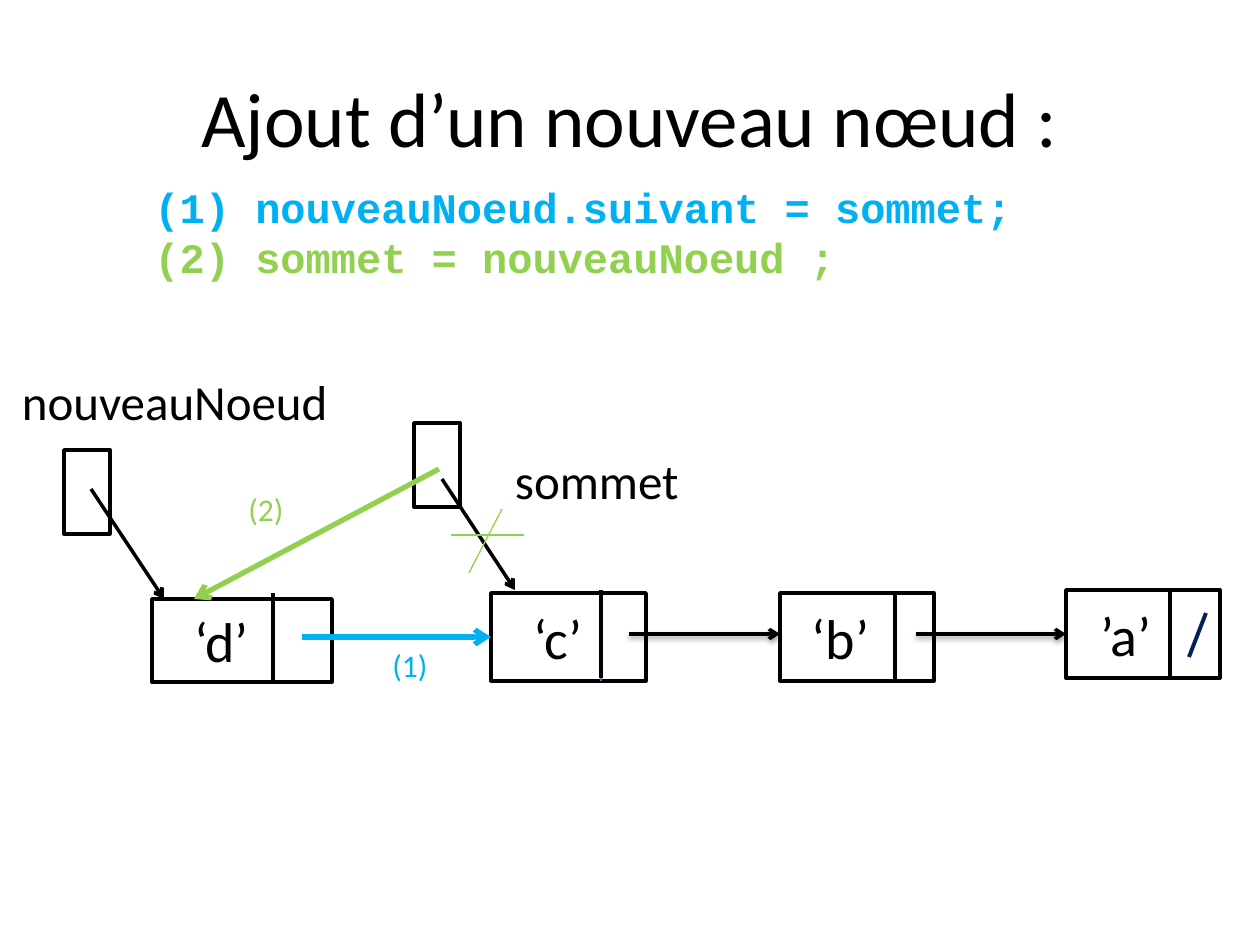
from lxml import etree
from pptx import Presentation
from pptx.dml.color import RGBColor
from pptx.enum.shapes import MSO_CONNECTOR, MSO_SHAPE
from pptx.enum.text import MSO_ANCHOR, MSO_AUTO_SIZE, PP_ALIGN
from pptx.oxml.ns import qn
from pptx.util import Emu, Pt

RECT, LINE = MSO_SHAPE.RECTANGLE, MSO_CONNECTOR.STRAIGHT
TOP, MID = MSO_ANCHOR.TOP, MSO_ANCHOR.MIDDLE
LEFT, MIDST = PP_ALIGN.LEFT, PP_ALIGN.CENTER
GROW = MSO_AUTO_SIZE.SHAPE_TO_FIT_TEXT
SCALE = 914400 / 126
BODY, CODE = "Calibri", "Courier New"
COLORS = {"black": "000000", "white": "FFFFFF", "blue": "00B0F0",
          "green": "92D050", "navy": "002060", "steel": "4B7EBC"}


def px(n):
    """Turn pixels into EMU."""
    return Emu(round(n * SCALE))


def hue(name):
    """Look up a colour by name."""
    return RGBColor.from_string(COLORS[name])


class Board:
    """Hold the style and the current slide."""

    def __init__(self, slide):
        """Keep the slide's shapes."""
        self.slide = slide
        self.shapes = slide.shapes

    def put(self, para, text, size, color="black", font=BODY, bold=False):
        """Add one run to a paragraph."""
        run = para.add_run()
        run.text = text
        run.font.size, run.font.name, run.font.bold = Pt(size), font, bold
        run.font.color.rgb = hue(color)

    def title(self, text, x, y, w, h):
        """Place and fill the title."""
        shape = self.shapes.title
        shape.left, shape.top, shape.width, shape.height = map(px, (x, y, w, h))
        frame = shape.text_frame
        frame.vertical_anchor = MID
        frame.paragraphs[0].alignment = MIDST
        self.put(frame.paragraphs[0], text, 44)

    def box(self, x, y, w, h, text="", size=32, inset=13, edge=2, anchor=MID):
        """Draw a white box with optional text."""
        shape = self.shapes.add_shape(RECT, px(x), px(y), px(w), px(h))
        shape.shadow.inherit = False
        shape.fill.solid()
        shape.fill.fore_color.rgb = hue("white")
        if edge:
            shape.line.color.rgb = hue("black")
            shape.line.width = Pt(edge)
        else:
            shape.line.fill.background()
        if text:
            frame = shape.text_frame
            frame.margin_left = px(inset)
            frame.vertical_anchor = anchor
            frame.paragraphs[0].alignment = LEFT
            self.put(frame.paragraphs[0], text, size)

    def label(self, text, x, y, w, h):
        """Draw the white box that names a pointer."""
        self.box(x, y, w, h, text, 28, 22, 0, TOP)

    def note(self, x, y, w, h, lines, size, font=BODY, bold=False, wrap=True):
        """Add a text box of coloured lines."""
        frame = self.shapes.add_textbox(px(x), px(y), px(w), px(h)).text_frame
        frame.word_wrap = wrap
        frame.auto_size = GROW
        for i, (text, color) in enumerate(lines):
            para = frame.add_paragraph() if i else frame.paragraphs[0]
            self.put(para, text, size, color, font, bold)

    def line(self, x1, y1, x2, y2, color="black", width=2.0, arrow=False,
             shade=False):
        """Draw a line, with an arrowhead or a soft shadow if asked."""
        link = self.shapes.add_connector(LINE, px(x1), px(y1), px(x2), px(y2))
        link.line.color.rgb = hue(color)
        link.line.width = Pt(width)
        props = link._element.spPr
        if arrow:
            etree.SubElement(props.find(qn("a:ln")), qn("a:tailEnd"),
                             type="arrow")
        effect = etree.SubElement(props, qn("a:effectLst"))
        if shade:
            cast = etree.SubElement(effect, qn("a:outerShdw"), dist="20000",
                                    blurRad="40000", dir="5400000",
                                    rotWithShape="0")
            tint = etree.SubElement(cast, qn("a:srgbClr"), val=COLORS["black"])
            etree.SubElement(tint, qn("a:alpha"), val="38000")

    def arrow(self, *ends, **style):
        """Draw a line with an arrowhead."""
        self.line(*ends, arrow=True, **style)


deck = Presentation()
deck.slide_width, deck.slide_height = px(1260), px(945)
board = Board(deck.slides.add_slide(deck.slide_layouts[5]))
board.title("Ajout d’un nouveau nœud :", 63, 38, 1134, 157)

# Existing list
for name, x, y, w, inset in (("‘c’", 491, 593, 155, 42),
                             ("‘b’", 780, 593, 154, 32),
                             ("’a’", 1066, 590, 154, 35)):
    board.box(x, y, w, 88, name, inset=inset)
board.label("sommet", 493, 444, 249, 72)
board.box(414, 423, 46, 84)
board.line(1206, 613, 1189, 657, "navy", 2.25)
board.line(601, 593, 601, 681, "steel", 0.75)
for x, y in ((895, 593), (601, 590), (1170, 590)):
    board.line(x, y, x, y + 88, width=2.25)
board.arrow(442, 479, 515, 590)
for x1, x2 in ((629, 780), (916, 1066)):
    board.arrow(x1, 634, x2, 634, shade=True)

# New node
board.box(152, 599, 180, 83, "‘d’", inset=42)
board.box(64, 450, 46, 84)
board.arrow(91, 489, 164, 599)
board.label("nouveauNoeud", 0, 365, 382, 72)
board.line(273, 593, 273, 681)

# Changed links
board.arrow(302, 637, 491, 637, color="blue", width=3)
board.arrow(439, 469, 194, 599, color="green", width=3)
board.line(451, 535, 524, 535, "green", 0.75)
board.line(502, 509, 469, 573, "green", 0.75)

# Code and step numbers
board.note(142, 175, 890, 174,
           [("(1) nouveauNoeud.suivant = sommet;", "blue"),
            ("(2) sommet = nouveauNoeud\u00a0;", "green")],
           24, CODE, True, False)
board.note(380, 640, 79, 50, [("(1)", "blue")], 18)
board.note(236, 484, 79, 50, [("(2)", "green")], 18)

deck.save("out.pptx")
